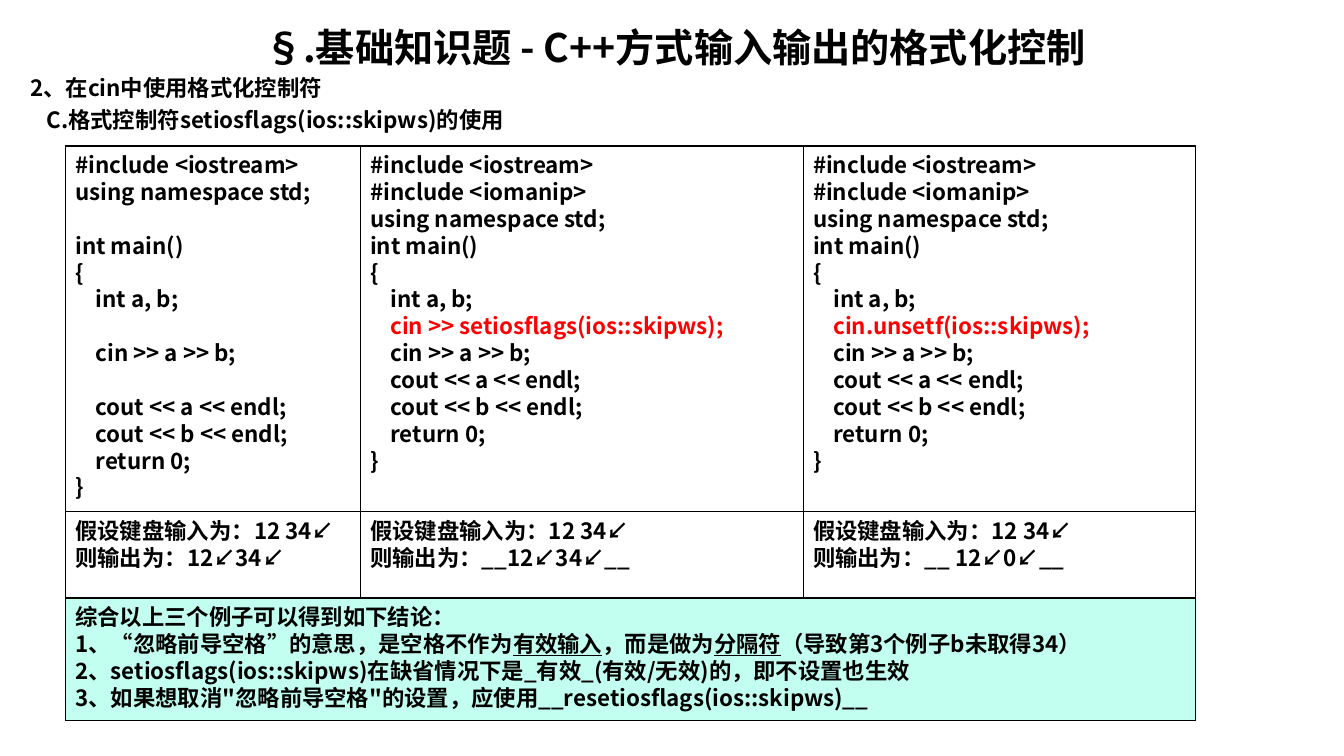
"""Builds a slide on formatted input in C++ with three code samples."""
from dataclasses import dataclass
from itertools import accumulate

from pptx import Presentation
from pptx.dml.color import RGBColor
from pptx.enum.shapes import MSO_SHAPE
from pptx.enum.text import MSO_ANCHOR, MSO_AUTO_SIZE, PP_ALIGN
from pptx.oxml.ns import qn
from pptx.util import Cm, Pt

RECT = MSO_SHAPE.RECTANGLE
TOP = MSO_ANCHOR.TOP
NO_FIT = MSO_AUTO_SIZE.NONE
LEFT, CENTER = PP_ALIGN.LEFT, PP_ALIGN.CENTER
PLAIN, RED, UNDER = "plain", "red", "under"

TITLE = "§.基础知识题 - C++方式输入输出的格式化控制"
HEADS = ["2、在cin中使用格式化控制符", "C.格式控制符setiosflags(ios::skipws)的使用"]

HEADER = ["#include <iostream>", "#include <iomanip>", "using namespace std;",
          "int main()", "{", "    int a, b;"]
FOOTER = ["    cin >> a >> b;", "    cout << a << endl;", "    cout << b << endl;",
          "    return 0;", "}"]
CODES = [
    ["#include <iostream>", "using namespace std;", "", "int main()", "{",
     "    int a, b;", "", "    cin >> a >> b;", "", *FOOTER[1:]],
    [*HEADER, [("    cin >> setiosflags(ios::skipws);", RED)], *FOOTER],
    [*HEADER, [("    cin.unsetf(ios::skipws);", RED)], *FOOTER],
]
INPUT = "假设键盘输入为：12 34↙"
RESULTS = ["则输出为：12↙34↙", "则输出为：__12↙34↙__", "则输出为：__ 12↙0↙__"]
SUMMARY = [
    "综合以上三个例子可以得到如下结论：",
    [("1、“忽略前导空格”的意思，是空格不作为", PLAIN), ("有效输入", UNDER),
     ("，而是做为", PLAIN), ("分隔符", UNDER), ("（导致第3个例子b未取得34）", PLAIN)],
    "2、setiosflags(ios::skipws)在缺省情况下是_有效_(有效/无效)的，即不设置也生效",
    "3、如果想取消\"忽略前导空格\"的设置，应使用__resetiosflags(ios::skipws)__",
]

SIZE = (33.87, 19.05)
WIDTHS = [7.43, 11.16, 9.88]
GRID_X, CODE_Y, RESULT_Y, SUM_Y, END_Y = 1.65, 3.68, 12.9, 15.07, 18.15
TITLE_BOX = (0.51, 0.46, 32.99, 1.32)
HEAD_BOX = (0.51, 1.88, 32.99, 1.75)
INDENT = 0.41


@dataclass(frozen=True)
class Theme:
    """Font, type sizes and colours."""
    font: str = "Noto Sans CJK SC"
    title: float = 28
    body: float = 16
    pitch: float = 1.2
    gap: float = 0.2
    rule: float = 0.75
    ink: RGBColor = RGBColor(0, 0, 0)
    red: RGBColor = RGBColor(255, 0, 0)
    white: RGBColor = RGBColor(255, 255, 255)
    mint: RGBColor = RGBColor(0xC2, 0xFF, 0xF0)


THEME = Theme()


def add_run(para, text, style, size):
    """Add one styled run."""
    run = para.add_run()
    run.text = text
    font = run.font
    font.name, font.size, font.bold = THEME.font, Pt(size), True
    font.color.rgb = THEME.red if style == RED else THEME.ink
    if style == UNDER:
        font.underline = True
    east = run._r.get_or_add_rPr().makeelement(qn("a:ea"), {"typeface": THEME.font})
    font._element.find(qn("a:latin")).addnext(east)


def write(shape, lines, size=THEME.body, align=LEFT, gap=0):
    """Fill a shape with lines, each a string or a list of runs."""
    frame = shape.text_frame
    frame.word_wrap, frame.auto_size = True, NO_FIT
    frame.vertical_anchor = TOP
    frame.margin_left = frame.margin_right = Cm(0.25)
    frame.margin_top = frame.margin_bottom = Cm(0.13)
    for rank, line in enumerate(lines):
        para = frame.add_paragraph() if rank else frame.paragraphs[0]
        para.alignment = align
        para.line_spacing = Pt(size * THEME.pitch)
        para.space_before = Pt(size * gap if rank else 0)
        para.space_after = Pt(0)
        para.font.size = Pt(size)
        runs = [(line, PLAIN)] if isinstance(line, str) else line
        for text, style in runs:
            if text:
                add_run(para, text, style, size)
    return frame


def add_cell(slide, left, top, width, lines=(), fill=None):
    """Draw a ruled box that reaches down to the end of the grid."""
    box = slide.shapes.add_shape(RECT, Cm(left), Cm(top), Cm(width), Cm(END_Y - top))
    box.shadow.inherit = False
    if fill is None:
        box.fill.background()
    else:
        box.fill.solid()
        box.fill.fore_color.rgb = fill
    box.line.color.rgb, box.line.width = THEME.ink, Pt(THEME.rule)
    write(box, lines)


def place(shape, box):
    """Move a placeholder to a box."""
    shape.left, shape.top, shape.width, shape.height = map(Cm, box)


def main():
    """Build and save the slide."""
    deck = Presentation()
    deck.slide_width, deck.slide_height = map(Cm, SIZE)
    slide = deck.slides.add_slide(deck.slide_layouts[0])

    title, heads = slide.shapes.title, slide.placeholders[1]
    place(title, TITLE_BOX)
    write(title, [TITLE], THEME.title, CENTER)
    place(heads, HEAD_BOX)
    frame = write(heads, HEADS, gap=THEME.gap)
    frame.margin_top = 0
    frame.paragraphs[1]._p.get_or_add_pPr().set("marL", str(Cm(INDENT)))

    total = sum(WIDTHS)
    lefts = list(accumulate(WIDTHS[:-1], initial=GRID_X))
    add_cell(slide, GRID_X, CODE_Y, total)
    for left, width, code in zip(lefts, WIDTHS, CODES):
        add_cell(slide, left, CODE_Y, width, code)
    for left, width, result in zip(lefts, WIDTHS, RESULTS):
        add_cell(slide, left, RESULT_Y, width, [INPUT, result], THEME.white)
    add_cell(slide, GRID_X, SUM_Y, total, SUMMARY, THEME.mint)
    deck.save("out.pptx")


if __name__ == "__main__":
    main()
